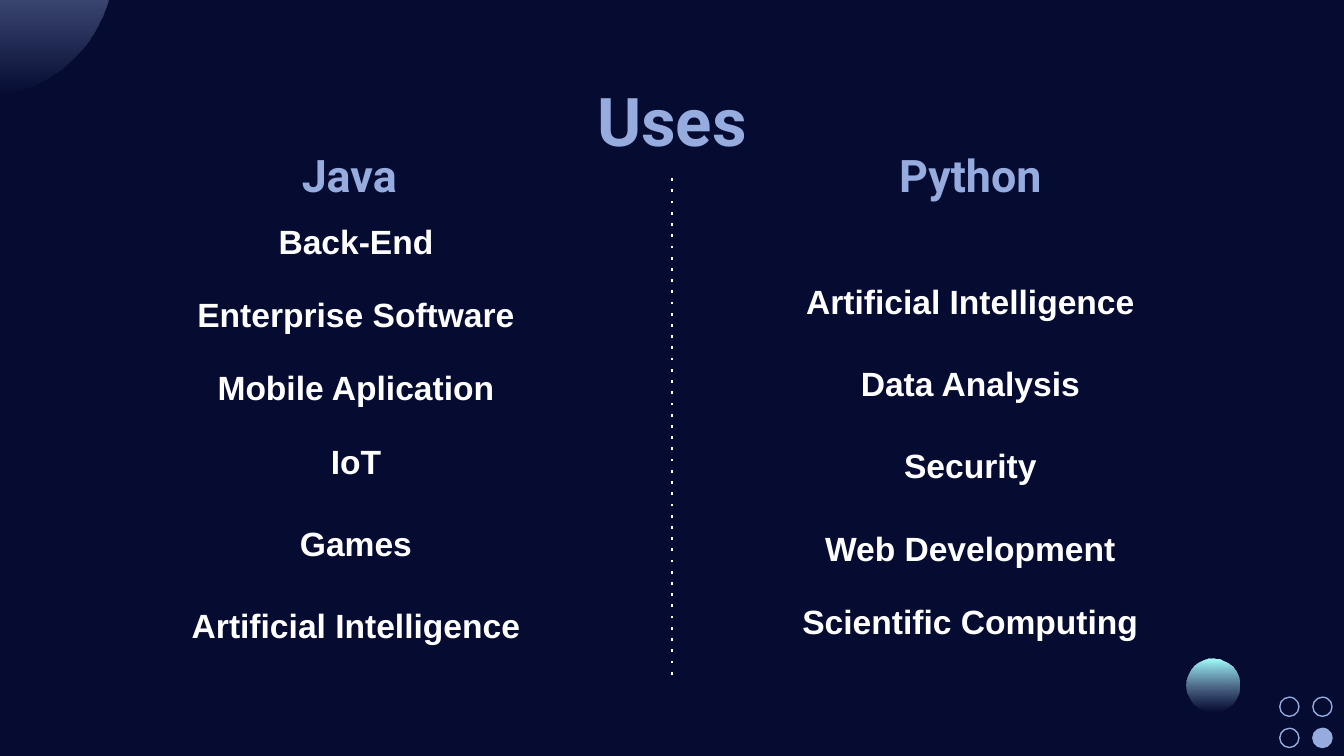
from dataclasses import dataclass
from lxml import etree
from pptx import Presentation
from pptx.dml.color import RGBColor
from pptx.enum.shapes import MSO_CONNECTOR, MSO_SHAPE
from pptx.enum.text import MSO_ANCHOR, PP_ALIGN
from pptx.oxml.ns import qn
from pptx.util import Pt

OVAL = MSO_SHAPE.OVAL
STRAIGHT = MSO_CONNECTOR.STRAIGHT
TOP, BOTTOM = MSO_ANCHOR.TOP, MSO_ANCHOR.BOTTOM
CENTER = PP_ALIGN.CENTER
NAVY, PERIWINKLE, AQUA, WHITE = "050B31", "97ACDE", "A1FFFD", "FFFFFF"
INSET = 7.2
TIGHT, LOOSE = 17.6, 22.4


@dataclass
class Line:
    text: str
    gap: float = 0


@dataclass
class TextBlock:
    left: float
    top: float
    width: float
    height: float
    lines: list[Line]
    size: float
    font: str = "Roboto"
    color: str = PERIWINKLE
    anchor: MSO_ANCHOR = BOTTOM
    bottom_inset: float = INSET


BLOCKS = [
    TextBlock(56.2, 35.3, 607.7, 58.3, [Line("Uses")], 36, anchor=TOP),
    TextBlock(-5.8, 71.3, 385.9, 43.9, [Line("Java")], 24),
    TextBlock(326.9, 71.3, 385.9, 43.9, [Line("Python")], 24),
    TextBlock(-2.2, 92.9, 385.9, 303.1, [
        Line("Back-End"),
        Line("Enterprise Software", TIGHT),
        Line("Mobile Aplication", TIGHT),
        Line("IoT", TIGHT),
        Line("Games", LOOSE),
        Line("Artificial Intelligence", LOOSE),
    ], 18, "Arial", WHITE, bottom_inset=50.4),
    TextBlock(326.9, 115.2, 385.9, 257, [
        Line("Artificial Intelligence"),
        Line("Data Analysis", LOOSE),
        Line("Security", LOOSE),
        Line("Web Development", LOOSE),
        Line("Scientific Computing", TIGHT),
    ], 18, "Arial", WHITE, bottom_inset=28.8),
]


def rgb(value: str) -> RGBColor:
    return RGBColor.from_string(value)


def add_circle(s, left: float, top: float, size: float):
    sp = s.shapes.add_shape(OVAL, Pt(left), Pt(top), Pt(size), Pt(size))
    sp.shadow.inherit = False
    return sp


def add_fading_circle(s, left: float, top: float, size: float, color: str) -> None:
    sp = add_circle(s, left, top, size)
    sp.line.fill.background()
    sp.fill.gradient()
    sp.fill.gradient_angle = 270
    for stop, value in zip(sp.fill.gradient_stops, (color, PERIWINKLE)):
        stop.color.rgb = rgb(value)
    end = sp._element.spPr.findall(".//" + qn("a:srgbClr"))[-1]
    etree.SubElement(end, qn("a:alpha"), val="0")


def add_ring(s, left: float, top: float, filled: bool) -> None:
    sp = add_circle(s, left, top, 10.3)
    sp.line.color.rgb = rgb(PERIWINKLE)
    sp.line.width = Pt(0.75)
    if filled:
        sp.fill.solid()
        sp.fill.fore_color.rgb = rgb(PERIWINKLE)
    else:
        sp.fill.background()


def add_divider(s, x: float, top: float, bottom: float) -> None:
    line = s.shapes.add_connector(STRAIGHT, Pt(x), Pt(bottom), Pt(x), Pt(top))
    line.line.color.rgb = rgb(WHITE)
    line.line.width = Pt(1.5)
    props = line._element.spPr
    etree.SubElement(props.find(qn("a:ln")), qn("a:prstDash"), val="dot")
    etree.SubElement(props, qn("a:effectLst"))


def add_text(s, block: TextBlock) -> None:
    box = s.shapes.add_textbox(Pt(block.left), Pt(block.top), Pt(block.width), Pt(block.height))
    tf = box.text_frame
    tf.word_wrap = True
    tf.vertical_anchor = block.anchor
    tf.margin_left = tf.margin_right = tf.margin_top = Pt(INSET)
    tf.margin_bottom = Pt(block.bottom_inset)
    for i, line in enumerate(block.lines):
        p = tf.add_paragraph() if i else tf.paragraphs[0]
        p.alignment = CENTER
        p.space_before = Pt(line.gap)
        r = p.add_run()
        r.text = line.text
        r.font.name = block.font
        r.font.size = Pt(block.size)
        r.font.bold = True
        r.font.color.rgb = rgb(block.color)


def main() -> None:
    """Build the slide comparing the uses of Java and Python."""
    prs = Presentation()
    prs.slide_width, prs.slide_height = Pt(720), Pt(405)
    s = prs.slides.add_slide(prs.slide_layouts[6])
    s.background.fill.solid()
    s.background.fill.fore_color.rgb = rgb(NAVY)
    add_fading_circle(s, -79.9, -89.3, 140.4, PERIWINKLE)
    for row in range(2):
        for col in range(2):
            add_ring(s, 685.6 + 17.7 * col, 373.5 + 16.7 * row, row == col == 1)
    add_fading_circle(s, 635.5, 352.7, 28.4, AQUA)
    add_divider(s, 360, 92.9, 361.4)
    for block in BLOCKS:
        add_text(s, block)
    prs.save("out.pptx")


if __name__ == "__main__":
    main()
